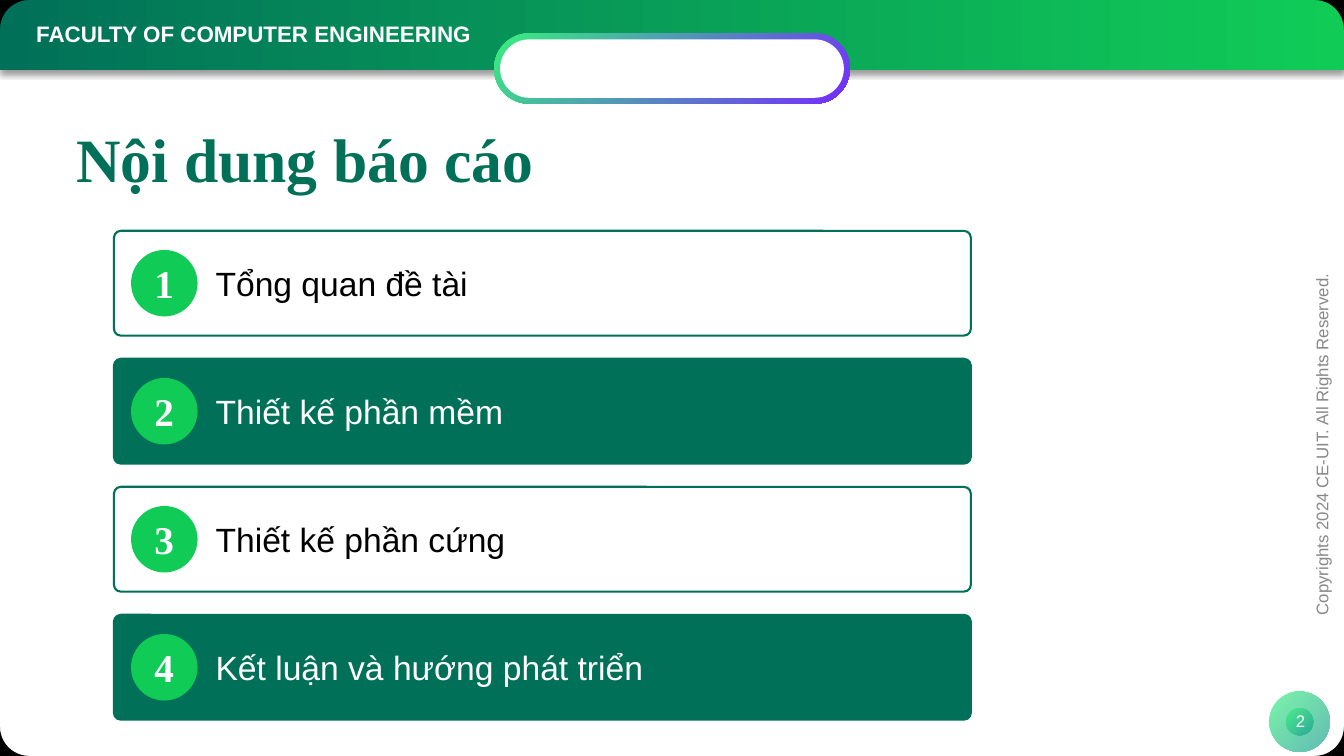
from math import cos, pi, sin

from lxml import etree
from pptx import Presentation
from pptx import util as u
from pptx.dml.color import RGBColor
from pptx.enum import shapes, text
from pptx.oxml.ns import qn

HEADER = "FACULTY OF COMPUTER ENGINEERING"
TITLE = "Nội dung báo cáo"
RIGHTS = "Copyrights 2024 CE-UIT. All Rights Reserved."
PAGE = "2"
ITEMS = [
    "Tổng quan đề tài",
    "Thiết kế phần mềm",
    "Thiết kế phần cứng",
    "Kết luận và hướng phát triển",
]

DARK = RGBColor(0x01, 0x70, 0x58)
LIME = RGBColor(0x10, 0xCC, 0x57)
MINT = RGBColor(0x38, 0xEF, 0x7D)
TEAL = RGBColor(0x11, 0x99, 0x8E)
VIOLET = RGBColor(0x75, 0x2A, 0xFF)
GREY = RGBColor(0x88, 0x88, 0x88)
WHITE = RGBColor(0xFF, 0xFF, 0xFF)
BLACK = RGBColor(0, 0, 0)

WIDE, HIGH = 13.33, 7.5
CURVE = 0.29
ROW_X, ROW_Y, ROW_W, ROW_H, PITCH = 1.13, 2.29, 8.5, 1.04, 1.27
DISC = 0.66

RECT = shapes.MSO_SHAPE.RECTANGLE
ROUND = shapes.MSO_SHAPE.ROUNDED_RECTANGLE
OVAL = shapes.MSO_SHAPE.OVAL
LEFT, MID = text.PP_ALIGN.LEFT, text.PP_ALIGN.CENTER

prs = Presentation()
prs.slide_width, prs.slide_height = u.Inches(WIDE), u.Inches(HIGH)
slide = prs.slides.add_slide(prs.slide_layouts[6])


def paint(shape, fill, line=None, angle=315, alpha=None):
    """Fill with one colour, or with a gradient when fill is a pair."""
    if isinstance(fill, tuple) and not isinstance(fill, RGBColor):
        shape.fill.gradient()
        shape.fill.gradient_angle = angle
        for stop, color in zip(shape.fill.gradient_stops, fill):
            stop.color.rgb = color
        if alpha:
            for node in shape._element.xpath(".//a:gs/a:srgbClr"):
                etree.SubElement(node, qn("a:alpha"), val=str(alpha * 1000))
    else:
        shape.fill.solid()
        shape.fill.fore_color.rgb = fill
    if line is None:
        shape.line.fill.background()
    else:
        shape.line.color.rgb = line
        shape.line.width = u.Pt(1.5)
    shape.shadow.inherit = False


def draw(kind, box, fill, adj=None, **look):
    shape = slide.shapes.add_shape(kind, *map(u.Inches, box))
    if adj is not None:
        shape.adjustments[0] = adj
    paint(shape, fill, **look)
    return shape


def write(words, box=None, shape=None, size=12, font="Arial", color=WHITE,
          bold=False, align=LEFT, turn=0, space=None):
    """Put words in the given shape, or in a new text box."""
    if shape is None:
        shape = slide.shapes.add_textbox(*map(u.Inches, box))
    shape.rotation = turn
    frame = shape.text_frame
    frame.word_wrap = True
    frame.vertical_anchor = text.MSO_ANCHOR.MIDDLE
    para = frame.paragraphs[0]
    para.alignment = align
    if space:
        para.line_spacing = space
    run = para.add_run()
    run.text = words
    run.font.size, run.font.name = u.Pt(size), font
    run.font.bold, run.font.color.rgb = bold, color


def shade(shape):
    """Cast a soft shadow straight down."""
    glow = shape._element.spPr.find(qn("a:effectLst"))
    cast = etree.SubElement(glow, qn("a:outerShdw"), blurRad=str(u.Pt(4)),
                            dist=str(u.Pt(3)), dir="5400000", rotWithShape="0")
    tint = etree.SubElement(cast, qn("a:srgbClr"), val="000000")
    etree.SubElement(tint, qn("a:alpha"), val="40000")


def corners():
    """Black out the area outside the slide's rounded corners."""
    path = None
    for x, dx in ((0, 1), (WIDE, -1)):
        for y, dy in ((0, 1), (HIGH, -1)):
            arc = [(x + dx * CURVE * (1 - cos(a)), y + dy * CURVE * (1 - sin(a)))
                   for a in (pi / 2 * i / 12 for i in range(13))]
            start = u.Inches(x), u.Inches(y)
            if path is None:
                path = slide.shapes.build_freeform(*start)
            else:
                path.move_to(*start)
            path.add_line_segments([(u.Inches(p), u.Inches(q)) for p, q in arc])
    paint(path.convert_to_shape(), BLACK)


def banner():
    shade(draw(RECT, (0, 0, WIDE, 0.69), (DARK, LIME), angle=0))
    write(HEADER, (0.26, 0.15, 8.11, 0.37), size=16, bold=True)
    for inset, fill in ((0, (MINT, VIOLET)), (0.06, WHITE)):
        draw(ROUND, (4.9 + inset, 0.33 + inset, 3.53 - 2 * inset, 0.7 - 2 * inset),
             fill, adj=0.5)


def badge():
    x, y = 12.89, 7.16
    for size in (0.6, 0.27):
        draw(OVAL, (x - size / 2, y - size / 2, size, size), (MINT, TEAL), alpha=65)


def row(index, words):
    y = ROW_Y + index * PITCH
    fill, ink = ((WHITE, BLACK), (DARK, WHITE))[index % 2]
    draw(ROUND, (ROW_X, y, ROW_W, ROW_H), fill, adj=0.068, line=DARK)
    disc = draw(OVAL, (ROW_X + 0.17, y + (ROW_H - DISC) / 2, DISC, DISC), LIME)
    write(str(index + 1), shape=disc, size=28, font="Times New Roman",
          bold=True, align=MID)
    write(words, (ROW_X + 0.91, y + 0.27, 7.23, 0.5), size=24, color=ink)


def main():
    banner()
    badge()
    corners()
    write(TITLE, (0.66, 1.13, 12.01, 0.97), size=44, font="Times New Roman",
          color=DARK, bold=True, space=0.9)
    write(RIGHTS, (10.86, 4.21, 4.5, 0.4), color=GREY, align=MID, turn=270)
    write(PAGE, (11.4, 6.95, 3, 0.4), align=MID)
    for index, words in enumerate(ITEMS):
        row(index, words)
    prs.save("out.pptx")


if __name__ == "__main__":
    main()
